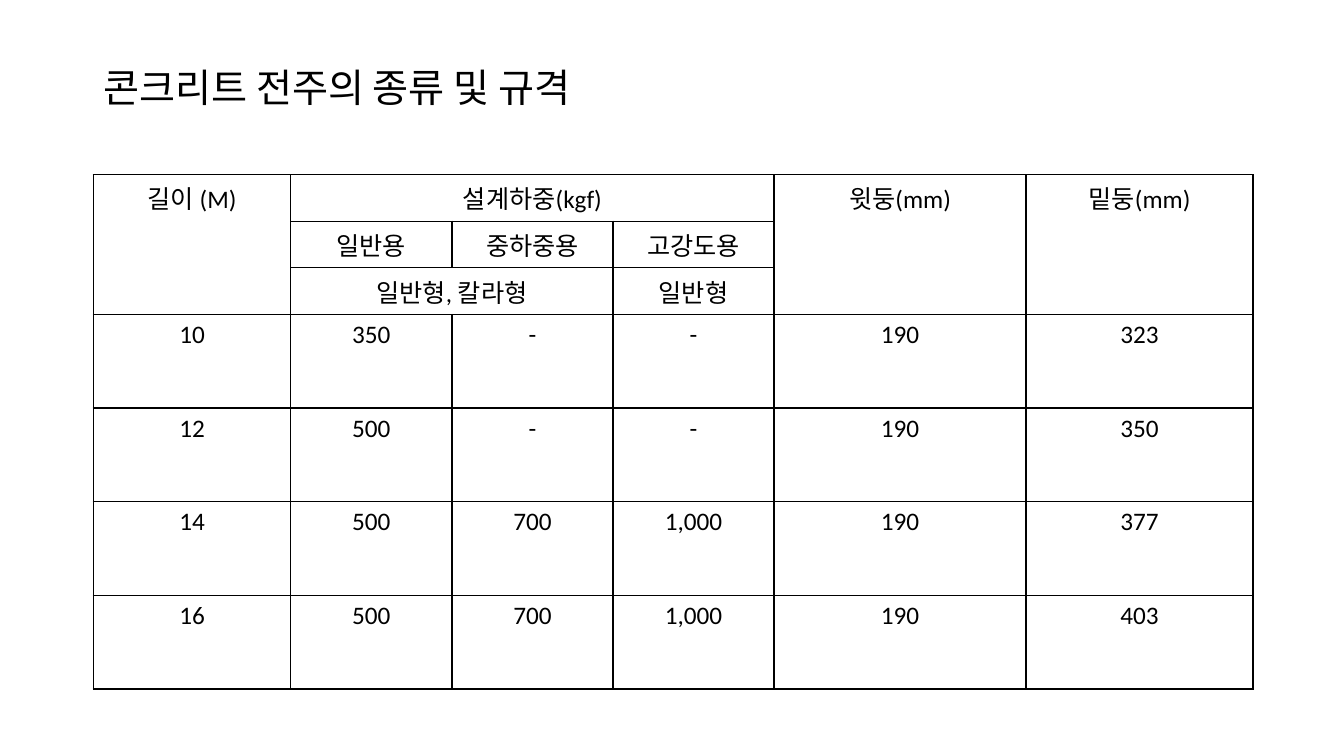
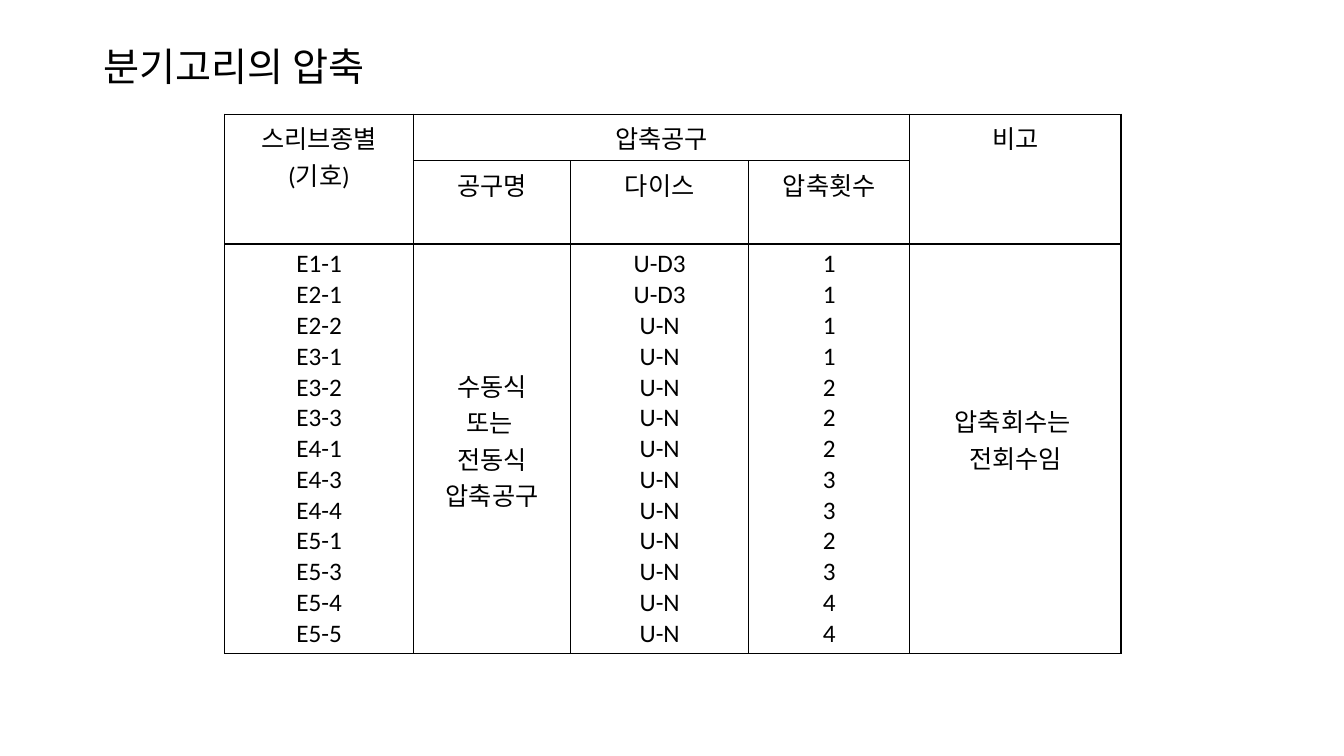
"""Build two slides of specification tables for poles and branch hook sleeves."""
import dataclasses

import lxml.etree
import pptx
import pptx.dml.color
import pptx.enum.text
import pptx.oxml.ns
import pptx.presentation
import pptx.slide
import pptx.table
import pptx.text.text
import pptx.util

Cm = pptx.util.Cm
Pt = pptx.util.Pt
Align = pptx.enum.text.PP_ALIGN
Anchor = pptx.enum.text.MSO_ANCHOR


@dataclasses.dataclass(frozen=True)
class Theme:
    """Colours, type and line sizes shared by the slides."""
    ink: str = "000000"
    font: str = "Calibri"
    head: float = 28
    body: float = 18
    rule: float = 1


@dataclasses.dataclass(frozen=True)
class Merge:
    """First and last cell of a merged block."""
    row: int
    col: int
    end_row: int
    end_col: int


@dataclasses.dataclass(frozen=True)
class Drop:
    """Top margin in centimetres for the text of one cell."""
    row: int
    col: int
    top: float


@dataclasses.dataclass(frozen=True)
class Page:
    """Title and table of one slide, with lengths in centimetres."""
    title: str
    tall: float
    left: float
    top: float
    cols: tuple[float, ...]
    rows: tuple[float, ...]
    cells: tuple[tuple[str, ...], ...]
    joins: tuple[Merge, ...]
    drops: tuple[Drop, ...] = ()


THEME = Theme()

SLEEVES = (
    ("E1-1", "U-D3", "1"),
    ("E2-1", "U-D3", "1"),
    ("E2-2", "U-N", "1"),
    ("E3-1", "U-N", "1"),
    ("E3-2", "U-N", "2"),
    ("E3-3", "U-N", "2"),
    ("E4-1", "U-N", "2"),
    ("E4-3", "U-N", "3"),
    ("E4-4", "U-N", "3"),
    ("E5-1", "U-N", "2"),
    ("E5-3", "U-N", "3"),
    ("E5-4", "U-N", "4"),
    ("E5-5", "U-N", "4"),
)
KINDS, DIES, COUNTS = ("\n".join(part) for part in zip(*SLEEVES))

POLES = Page(
    title="콘크리트 전주의 종류 및 규격",
    tall=2.51,
    left=2.35,
    top=4.4,
    cols=(4.98, 4.06, 4.06, 4.06, 6.35, 5.72),
    rows=(1.17,) * 3 + (2.36,) * 4,
    cells=(
        ("길이 (M)", "설계하중(kgf)", "", "", "윗둥(mm)", "밑둥(mm)"),
        ("", "일반용", "중하중용", "고강도용", "", ""),
        ("", "일반형, 칼라형", "", "일반형", "", ""),
        ("10", "350", "-", "-", "190", "323"),
        ("12", "500", "-", "-", "190", "350"),
        ("14", "500", "700", "1,000", "190", "377"),
        ("16", "500", "700", "1,000", "190", "403"),
    ),
    joins=(
        Merge(0, 0, 2, 0),
        Merge(0, 1, 0, 3),
        Merge(0, 4, 2, 4),
        Merge(0, 5, 2, 5),
        Merge(2, 1, 2, 2),
    ),
)

HOOKS = Page(
    title="분기고리의 압축",
    tall=1.45,
    left=5.66,
    top=2.88,
    cols=(4.76, 3.96, 4.49, 4.06, 5.32),
    rows=(1.17, 2.08, 10.33),
    cells=(
        ("스리브종별\n(기호)", "압축공구", "", "", "비고"),
        ("", "공구명", "다이스", "압축횟수", ""),
        (KINDS, "수동식\n또는 \n전동식\n압축공구", DIES, COUNTS,
         "압축회수는 \n전회수임"),
    ),
    joins=(Merge(0, 0, 1, 0), Merge(0, 1, 0, 3), Merge(0, 4, 1, 4)),
    drops=(Drop(2, 1, 3.1), Drop(2, 4, 4.0)),
)


def write(frame: pptx.text.text.TextFrame, text: str, size: float,
          align: Align, pitch: float = 1.0) -> None:
    """Write each line of the text as a paragraph with one run."""
    for index, line in enumerate(text.split("\n")):
        para = frame.add_paragraph() if index else frame.paragraphs[0]
        para.alignment = align
        para.line_spacing = pitch
        run = para.add_run()
        run.text = line
        run.font.name = THEME.font
        run.font.size = Pt(size)
        run.font.color.rgb = pptx.dml.color.RGBColor.from_string(THEME.ink)


def frame_cell(cell: pptx.table._Cell) -> None:
    """Give a cell four solid borders and no fill."""
    name = pptx.oxml.ns.qn
    props = cell._tc.get_or_add_tcPr()
    for side in ("lnL", "lnR", "lnT", "lnB"):
        edge = lxml.etree.SubElement(
            props, name(f"a:{side}"), w=str(int(Pt(THEME.rule))))
        fill = lxml.etree.SubElement(edge, name("a:solidFill"))
        lxml.etree.SubElement(fill, name("a:srgbClr"), val=THEME.ink)
    cell.fill.background()


def add_title(slide: pptx.slide.Slide, page: Page) -> None:
    """Place and write the slide title."""
    title = slide.shapes.title
    title.left, title.top = Cm(2.35), Cm(1.02)
    title.width, title.height = Cm(29.21), Cm(page.tall)
    frame = title.text_frame
    frame.auto_size = pptx.enum.text.MSO_AUTO_SIZE.NONE
    frame.vertical_anchor = Anchor.MIDDLE
    write(frame, page.title, THEME.head, Align.LEFT, 0.9)


def add_grid(slide: pptx.slide.Slide, page: Page) -> None:
    """Draw the table of a page."""
    grid = slide.shapes.add_table(
        len(page.rows), len(page.cols), Cm(page.left), Cm(page.top),
        Cm(sum(page.cols)), Cm(sum(page.rows))).table
    grid.first_row = grid.horz_banding = False
    for col, width in zip(grid.columns, page.cols):
        col.width = Cm(width)
    for row, height in zip(grid.rows, page.rows):
        row.height = Cm(height)
    for join in page.joins:
        last = grid.cell(join.end_row, join.end_col)
        grid.cell(join.row, join.col).merge(last)
    for row, texts in zip(grid.rows, page.cells):
        for cell, text in zip(row.cells, texts):
            frame_cell(cell)
            if text:
                write(cell.text_frame, text, THEME.body, Align.CENTER)
    for drop in page.drops:
        grid.cell(drop.row, drop.col).margin_top = Cm(drop.top)


def add_page(deck: pptx.presentation.Presentation, page: Page) -> None:
    """Add one slide with its title and table."""
    slide = deck.slides.add_slide(deck.slide_layouts[5])
    add_title(slide, page)
    add_grid(slide, page)


def main() -> None:
    """Build and save the deck."""
    deck = pptx.Presentation()
    deck.slide_width, deck.slide_height = Cm(33.87), Cm(19.05)
    for page in (POLES, HOOKS):
        add_page(deck, page)
    deck.save("out.pptx")


if __name__ == "__main__":
    main()
